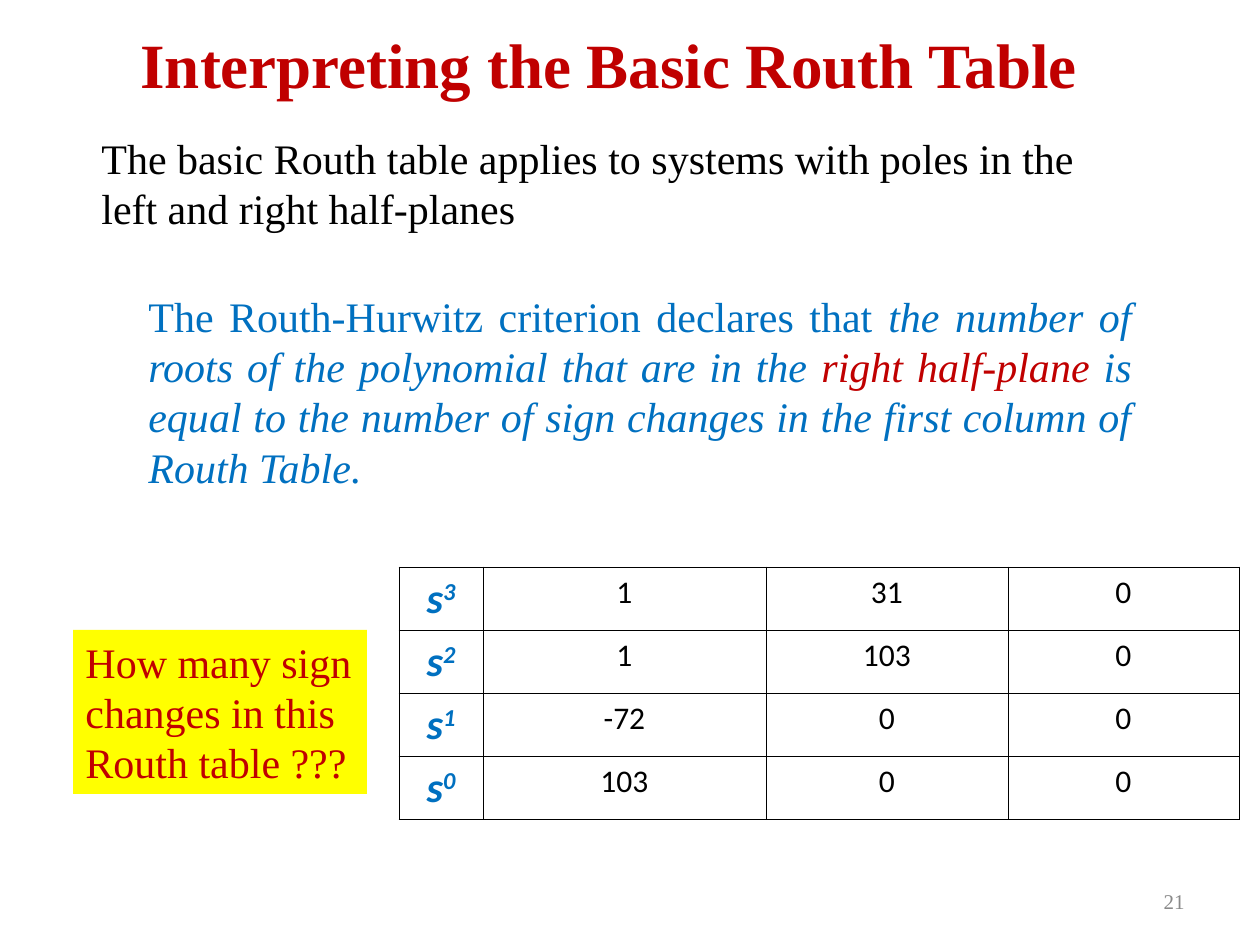
from lxml import etree
from pptx import Presentation, util as u
from pptx.dml.color import RGBColor
from pptx.enum import text as t
from pptx.oxml.ns import qn

PX = 914400 / 126
SERIF = "Times New Roman"
RED, BLUE, BLACK, GREY, YELLOW = "C00000", "0070C0", "000000", "898989", "FFFF00"


def emu(*lengths):
    """Turn px lengths into EMU."""
    return [u.Emu(round(length * PX)) for length in lengths]


def add_span(para, words, size, color, font=SERIF, bold=False, italic=False):
    span = para.add_run()
    span.text = words
    span.font.size = u.Pt(size)
    span.font.name = font
    span.font.bold = bold
    span.font.italic = italic
    span.font.color.rgb = RGBColor.from_string(color)
    return span


deck = Presentation()
deck.slide_width, deck.slide_height = emu(1260, 945)
page = deck.slides.add_slide(deck.slide_layouts[6])

# Text boxes: place, alignment, anchor, fill, size, spans (words, color, bold, italic)
LEFT, CENTER = t.PP_ALIGN.LEFT, t.PP_ALIGN.CENTER
RIGHT, JUSTIFY = t.PP_ALIGN.RIGHT, t.PP_ALIGN.JUSTIFY
TOP, MIDDLE = t.MSO_ANCHOR.TOP, t.MSO_ANCHOR.MIDDLE
boxes = [
    ((42, 0, 1134, 126), CENTER, MIDDLE, None, 36,
     [("Interpreting the Basic Routh Table", RED, True, False)]),
    ((89, 126, 1040, 113), LEFT, TOP, None, 24,
     [("The basic Routh table applies to systems with poles in the "
       "left and right half-planes", BLACK, False, False)]),
    ((136, 284, 1008, 214), JUSTIFY, TOP, None, 24,
     [("The Routh-Hurwitz criterion declares that ", BLUE, False, False),
      ("the number of roots of the polynomial that are in the ", BLUE, False, True),
      ("right half-plane ", RED, False, True),
      ("is equal to the number of sign changes in the first column of "
       "Routh Table.", BLUE, False, True)]),
    ((73, 630, 294, 164), LEFT, TOP, YELLOW, 24,
     [("How many sign changes in this Routh table ???", RED, False, False)]),
    ((903, 876, 294, 50), RIGHT, MIDDLE, None, 12,
     [("21", GREY, False, False)]),
]
for place, align, anchor, fill, size, spans in boxes:
    box = page.shapes.add_textbox(*emu(*place))
    if fill:
        box.fill.solid()
        box.fill.fore_color.rgb = RGBColor.from_string(fill)
    frame = box.text_frame
    frame.word_wrap = True
    frame.vertical_anchor = anchor
    para = frame.paragraphs[0]
    para.alignment = align
    for words, color, bold, italic in spans:
        add_span(para, words, size, color, bold=bold, italic=italic)

# Routh table: one row for each power of s, from the highest down
routh_rows = [("1", "31", "0"), ("1", "103", "0"), ("-72", "0", "0"), ("103", "0", "0")]
column_widths = (84, 283, 242, 231)
table = page.shapes.add_table(4, 4, *emu(399, 567, sum(column_widths), 252)).table
table.first_row = False
table.horz_banding = False
for column, width in zip(table.columns, emu(*column_widths)):
    column.width = width

for row, values in enumerate(routh_rows):
    for col in range(4):
        cell = table.cell(row, col)
        para = cell.text_frame.paragraphs[0]
        para.alignment = CENTER
        if col == 0:
            add_span(para, "s", 24, BLUE, "Calibri", True, True)
            power = add_span(para, str(3 - row), 24, BLUE, "Calibri", True, True)
            power._r.get_or_add_rPr().set("baseline", "30000")
        else:
            add_span(para, values[col - 1], 18, BLACK, "Calibri")
        props = cell._tc.get_or_add_tcPr()
        for side in ("a:lnL", "a:lnR", "a:lnT", "a:lnB"):
            border = etree.SubElement(props, qn(side), w="5715")
            paint = etree.SubElement(border, qn("a:solidFill"))
            etree.SubElement(paint, qn("a:srgbClr"), val=BLACK)
        cell.fill.background()

deck.save("out.pptx")
